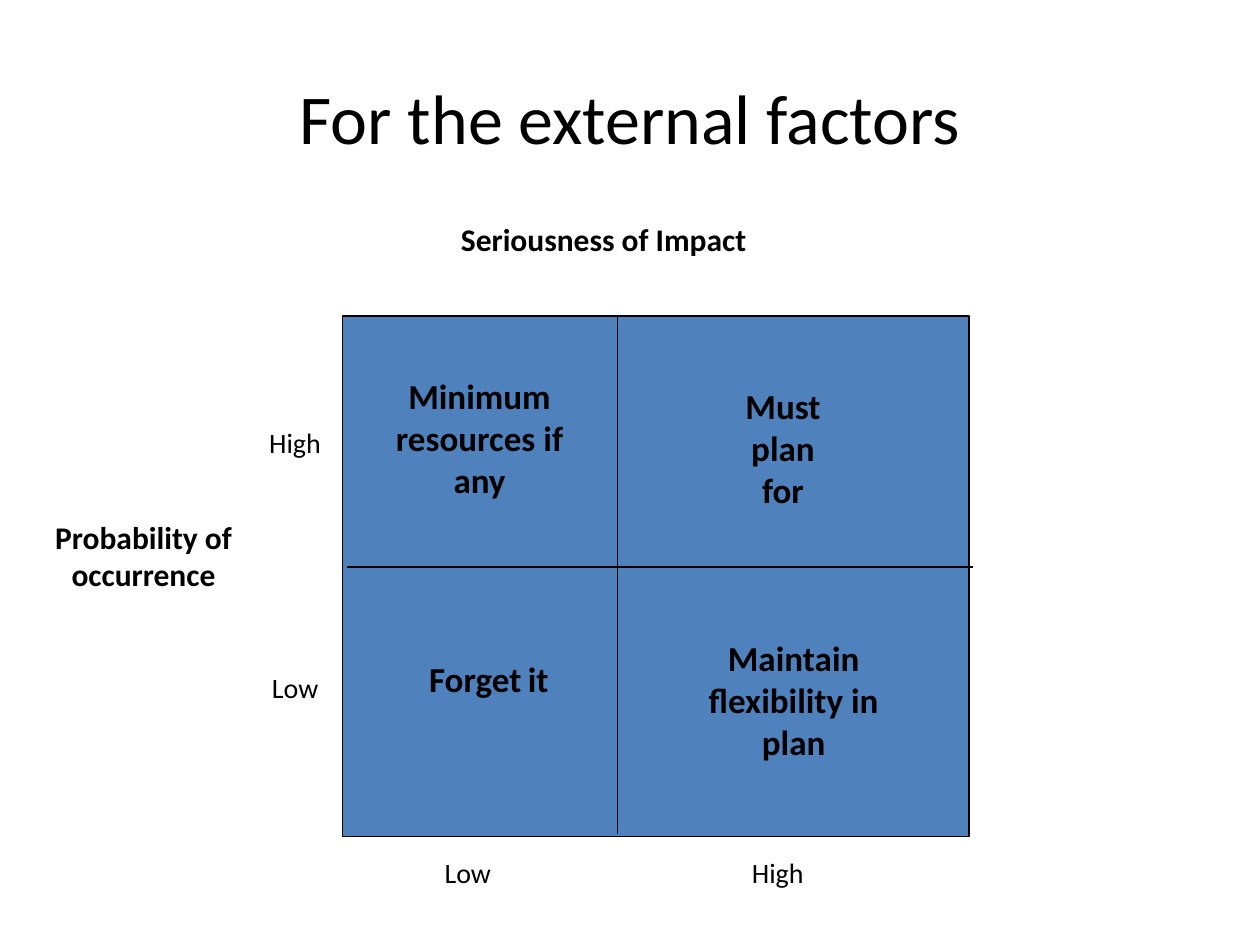
import pptx
import pptx.dml.color
import pptx.enum.shapes
import pptx.enum.text
import pptx.util
import lxml.etree

Pt = pptx.util.Pt
ALIGN = pptx.enum.text.PP_ALIGN
ANCHOR = pptx.enum.text.MSO_ANCHOR
BLACK = "000000"


def tint(code):
    return pptx.dml.color.RGBColor.from_string(code)


def write(text, x, y, w, h, size=16, bold=False, align=ALIGN.LEFT,
          anchor=ANCHOR.TOP, indent=0):
    box = slide.shapes.add_textbox(Pt(x), Pt(y), Pt(w), Pt(h))
    frame = box.text_frame
    frame.word_wrap = True
    frame.vertical_anchor = anchor
    para = frame.paragraphs[0]
    para.alignment = align
    if indent:
        para._p.get_or_add_pPr().set("marL", str(Pt(indent)))
    # A list gives one run per item
    for part in [text] if isinstance(text, str) else text:
        run = para.add_run()
        run.text = part
        font = run.font
        font.name = "Calibri"
        font.size = Pt(size if part.strip() else 16)
        font.bold = bold and part != " "
        font.color.rgb = tint(BLACK)


deck = pptx.Presentation()
deck.slide_width, deck.slide_height = Pt(720), Pt(540)
slide = deck.slides.add_slide(deck.slide_layouts[6])

# Title
write("For the external factors", 36, 21.6, 648, 90, size=40,
      align=ALIGN.CENTER, anchor=ANCHOR.MIDDLE)

# Matrix square
square = slide.shapes.add_shape(
    pptx.enum.shapes.MSO_SHAPE.RECTANGLE,
    Pt(195.8), Pt(180.7), Pt(357.8), Pt(297.4))
square.shadow.inherit = False
square.fill.solid()
square.fill.fore_color.rgb = tint("4F81BD")
square.line.color.rgb = tint(BLACK)
square.line.width = Pt(1)

# Dividing lines
for ends in [(198, 324, 555.8, 324), (352.8, 180.7, 352.8, 476.6)]:
    line = slide.shapes.add_connector(
        pptx.enum.shapes.MSO_CONNECTOR.STRAIGHT, *map(Pt, ends))
    line.line.color.rgb = tint(BLACK)
    line.line.width = Pt(1)
    lxml.etree.SubElement(line._element.spPr,
                          pptx.oxml.ns.qn("a:effectLst"))

# Advice in the four cells
for text, x, y, w, h in [
    ("Must plan for", 408.2, 216, 78.5, 79.2),
    ("Minimum resources if any", 203.8, 210.2, 140.4, 79.2),
    ("Maintain flexibility in plan", 390.2, 360, 126.7, 79.2),
    (["Forget", " ", "it"], 234, 372.2, 90.7, 54.7),
]:
    write(text, x, y, w, h, size=20, bold=True, align=ALIGN.CENTER)

# Axis levels
for text, x, y, w, indent in [
    ("High", 422.6, 485.3, 54, 0),
    ("Low", 247, 485.3, 54, 0),
    ("High", 138.2, 239.8, 64.8, 8.6),
    ("Low", 148.3, 379.4, 56.2, 0),
]:
    write(text, x, y, w, 25.9, indent=indent)

# Axis titles
write("Probability of occurrence", 15.1, 292.3, 133.9, 50.4, size=18,
      bold=True, align=ALIGN.CENTER)
write("Seriousness of Impact", 256.3, 122.4, 277.9, 28.8, size=18, bold=True)

deck.save("out.pptx")
